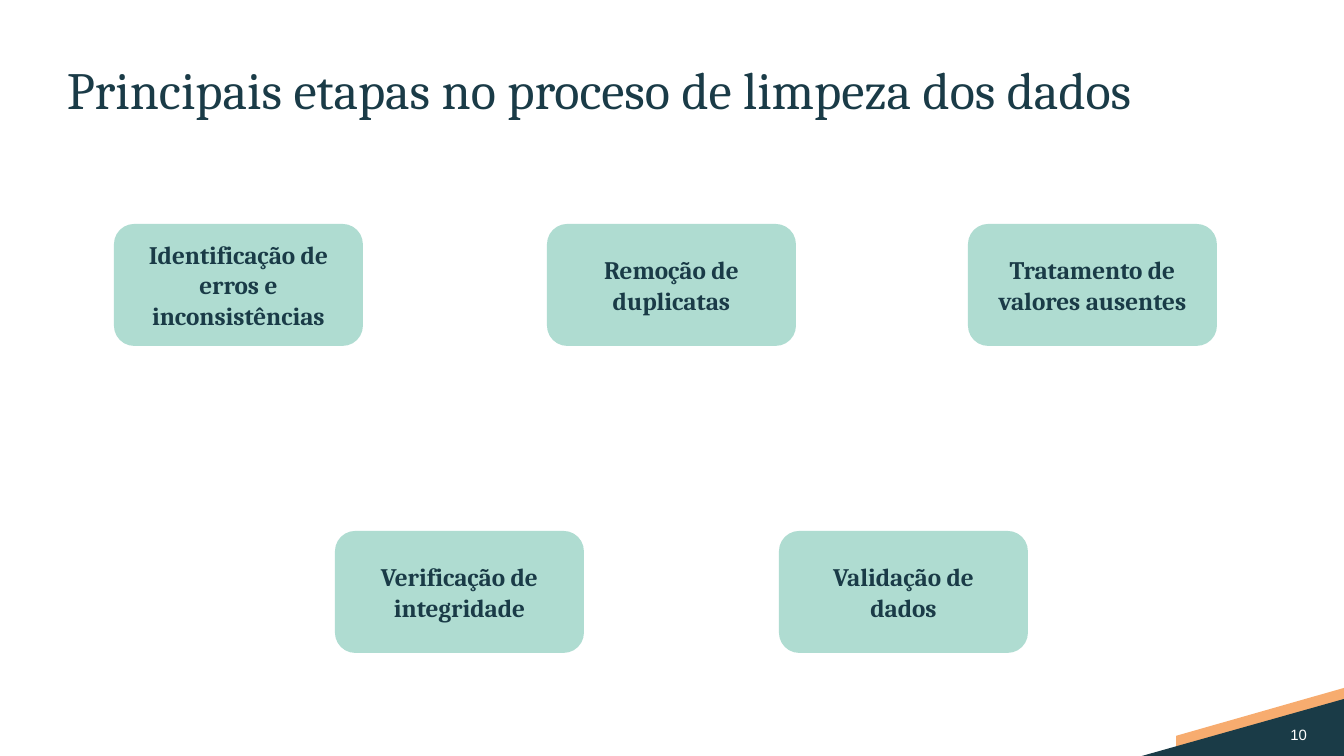
from dataclasses import dataclass

from pptx import Presentation
from pptx.dml.color import RGBColor
from pptx.enum.shapes import MSO_SHAPE
from pptx.enum.text import MSO_ANCHOR, MSO_AUTO_SIZE, PP_ALIGN
from pptx.util import Emu, Pt

SCALE = 914400 / 134.4


@dataclass(frozen=True)
class Theme:
    ink: str = "1A3B47"
    mint: str = "AFDCD1"
    orange: str = "F7AC6F"
    white: str = "FFFFFF"
    serif: str = "Cambria"
    sans: str = "Arial"
    title: float = 28
    step: float = 13.5
    number: float = 8


THEME = Theme()


def px(*values):
    return [Emu(round(v * SCALE)) for v in values]


def paint(s, color):
    s.shadow.inherit = False
    s.fill.solid()
    s.fill.fore_color.rgb = RGBColor.from_string(color)
    s.line.fill.background()


def write(s, text, name, size, color, align, anchor, bold=False, inset=True):
    tf = s.text_frame
    tf.word_wrap = True
    tf.auto_size = MSO_AUTO_SIZE.NONE
    tf.vertical_anchor = anchor
    if not inset:
        tf.margin_left = tf.margin_top = tf.margin_right = tf.margin_bottom = 0
    p = tf.paragraphs[0]
    p.text = text
    p.alignment = align
    p.font.name = name
    p.font.size = Pt(size)
    p.font.bold = bold
    p.font.color.rgb = RGBColor.from_string(color)
    return p


def add_title(slide, box, text):
    s = slide.shapes.title
    s.left, s.top, s.width, s.height = px(*box)
    p = write(s, text, THEME.serif, THEME.title, THEME.ink,
              PP_ALIGN.LEFT, MSO_ANCHOR.TOP, inset=False)
    p.line_spacing = 0.9


def add_step(slide, box, text):
    s = slide.shapes.add_shape(MSO_SHAPE.ROUNDED_RECTANGLE, *px(*box))
    paint(s, THEME.mint)
    write(s, text, THEME.serif, THEME.step, THEME.ink,
          PP_ALIGN.CENTER, MSO_ANCHOR.MIDDLE, bold=True)


def add_steps(slide, box, rows):
    left, top, width, height = box
    step_w, step_h = 249, 122
    pitch = (height - step_h) / (len(rows) - 1)
    for i, row in enumerate(rows):
        for x, text in row:
            add_step(slide, (left + x, top + i * pitch, step_w, step_h), text)


def add_polygon(slide, points, color):
    builder = slide.shapes.build_freeform(*points[0], scale=SCALE)
    builder.add_line_segments(points[1:], close=True)
    paint(builder.convert_to_shape(), color)


def add_corner(slide, box, number):
    left, top, width, height = box
    right, bottom = left + width, top + height
    stripe = [(right, top), (right, top + 43), (left + 34, bottom - 1), (left + 34, top + 48)]
    wedge = [(left, bottom), (right, top + 11), (right, bottom)]
    add_polygon(slide, stripe, THEME.orange)
    add_polygon(slide, wedge, THEME.ink)
    s = slide.shapes.add_textbox(*px(right - 79, top + 28, 42, 37))
    write(s, number, THEME.sans, THEME.number, THEME.white,
          PP_ALIGN.RIGHT, MSO_ANCHOR.MIDDLE, inset=False)


def main():
    prs = Presentation()
    prs.slide_width, prs.slide_height = px(1344, 756)
    slide = prs.slides.add_slide(prs.slide_layouts[5])
    add_corner(slide, (1142, 688, 202, 68), "10")
    add_title(slide, (67, 64, 1210, 101), "Principais etapas no proceso de limpeza dos dados")
    add_steps(slide, (114, 224, 1103, 429), [
        [(0, "Identificação de erros e inconsistências"),
         (433, "Remoção de duplicatas"),
         (854, "Tratamento de valores ausentes")],
        [(221, "Verificação de integridade"),
         (665, "Validação de dados")],
    ])
    prs.save("out.pptx")


if __name__ == "__main__":
    main()
